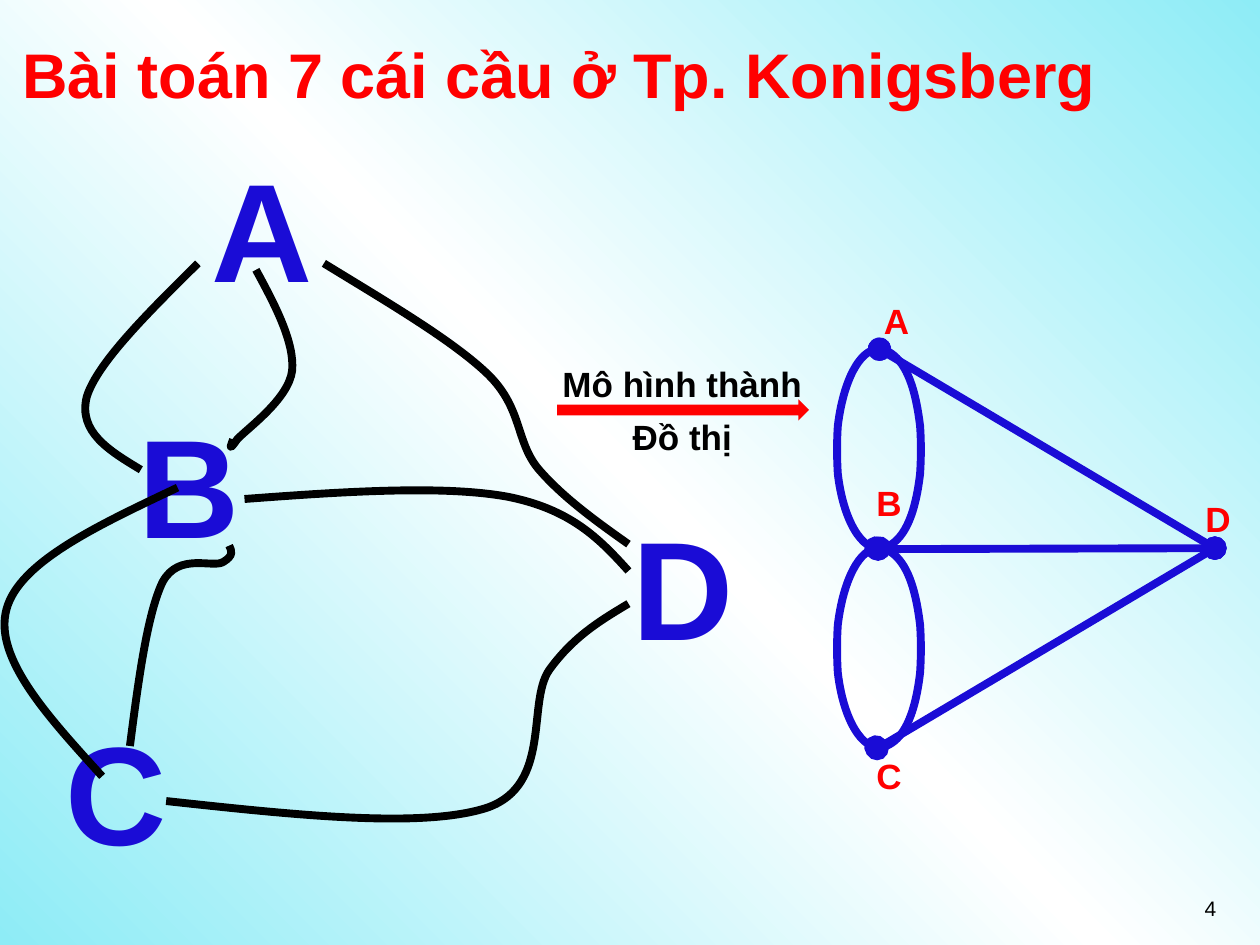
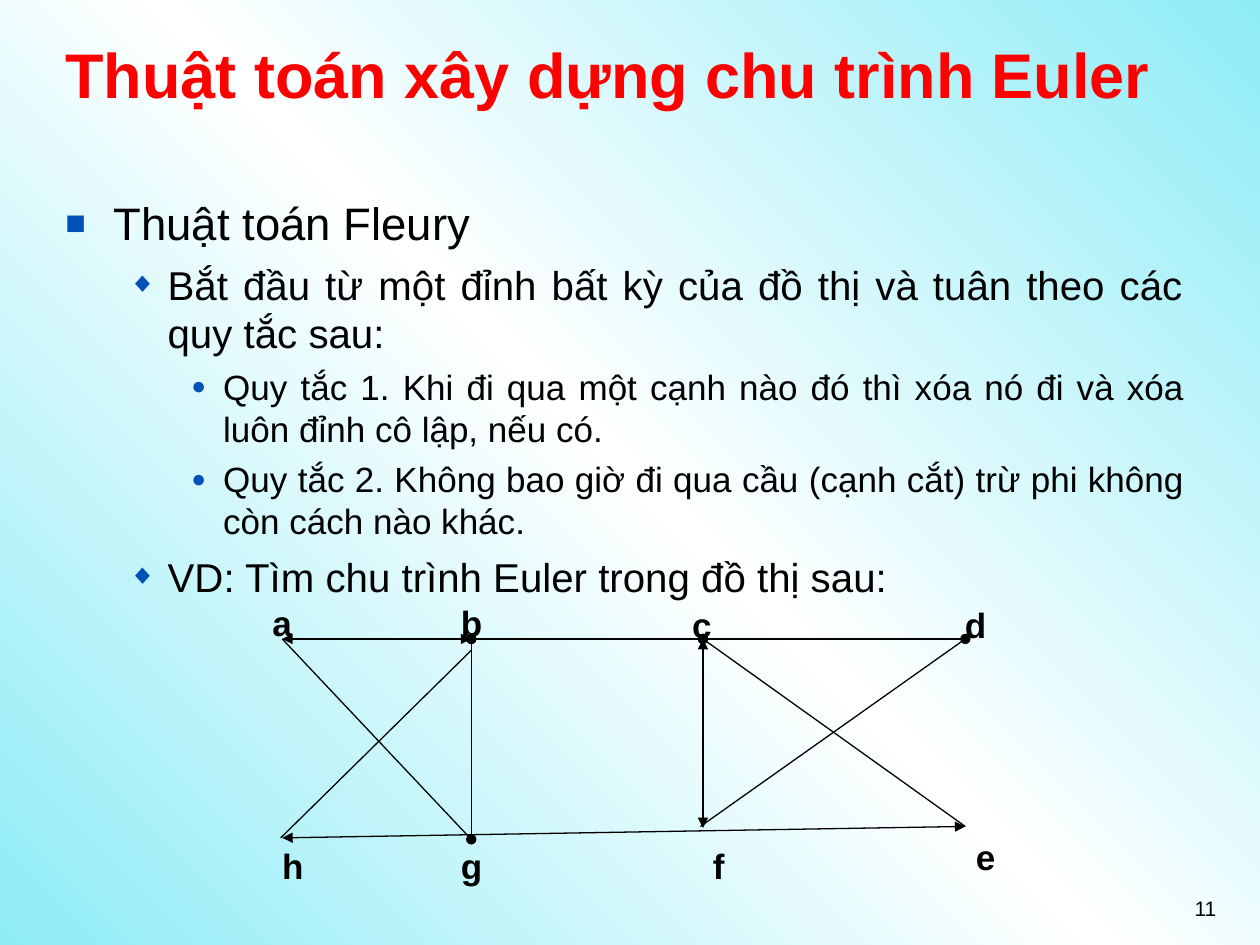
from copy import deepcopy

from lxml.etree import SubElement
from pptx import Presentation
from pptx.dml.color import RGBColor
from pptx.enum.shapes import MSO_CONNECTOR, MSO_SHAPE
from pptx.enum.text import MSO_ANCHOR, MSO_AUTO_SIZE, PP_ALIGN
from pptx.oxml.ns import qn
from pptx.util import Cm, Pt

FONT = "Arial"
AQUA = RGBColor(0x8E, 0xEC, 0xF6)
WHITE = RGBColor(0xFF, 0xFF, 0xFF)
RED = RGBColor(0xFF, 0x00, 0x00)
BLUE = RGBColor(0x1A, 0x0C, 0xD6)
BLACK = RGBColor(0x00, 0x00, 0x00)
BULLET_BLUE = RGBColor(0x02, 0x51, 0xB8)


def add_text(slide, text, box, size, color, bold=True, align=PP_ALIGN.CENTER, label=True):
    holder = slide.shapes.add_textbox(*[Cm(length) for length in box])
    frame = holder.text_frame
    frame.word_wrap = True
    frame.text = text
    for paragraph in frame.paragraphs:
        paragraph.alignment = align
        font = paragraph.runs[0].font
        font.name, font.size, font.bold = FONT, Pt(size), bold
        font.color.rgb = color
        if label:
            paragraph.space_before = Pt(size * 0.625)
    frame.auto_size = MSO_AUTO_SIZE.SHAPE_TO_FIT_TEXT if label else MSO_AUTO_SIZE.NONE
    return frame


def style_stroke(stroke, color, width, ends):
    stroke.line.color.rgb = color
    stroke.line.width = Pt(width)
    properties = stroke.element.spPr
    if ends:
        for tag in ("a:headEnd", "a:tailEnd"):
            SubElement(properties.find(qn("a:ln")), qn(tag), type=ends)
    SubElement(properties, qn("a:effectLst"))


prs = Presentation()
prs.slide_width, prs.slide_height = Cm(25.4), Cm(19.05)

backdrop = prs.slide_master.background.fill
backdrop.gradient()
backdrop.gradient_angle = 45
for stop in backdrop.gradient_stops:
    stop.color.rgb = AQUA
stop_list = next(prs.slide_master.element.iter(qn("a:gsLst")))
stop_list.insert(1, deepcopy(stop_list[0]))
middle = backdrop.gradient_stops[1]
middle.position = 0.5
middle.color.rgb = WHITE

pages = []
for title, left, number in (
    ("Bài toán 7 cái cầu ở Tp. Konigsberg", 0.2, "4"),
    ("Thuật toán xây dựng chu trình Euler", 1.07, "11"),
):
    page = prs.slides.add_slide(prs.slide_layouts[6])
    heading = add_text(page, title, (left, 0.43, 23.06, 2.11), 36, RED,
                       align=PP_ALIGN.LEFT, label=False)
    heading.vertical_anchor = MSO_ANCHOR.MIDDLE
    add_text(page, number, (18.85, 17.93, 5.92, 1.32), 12, BLACK,
             bold=False, align=PP_ALIGN.RIGHT, label=False)
    pages.append(page)
bridges_page, fleury_page = pages

for land, left, top in (("A", 2.74, 2.74), ("B", 1.27, 7.9), ("D", 11.23, 9.96), ("C", -0.2, 14.1)):
    add_text(bridges_page, land, (left, top, 5.08, 3.66), 80, BLUE)

bridges = [
    [(3.99, 5.31), (2.97, 6.32), (1.96, 7.32), (1.75, 8), (1.57, 8.71), (2.21, 9.09), (2.84, 9.47)],
    [(2.62, 15.04), (2.79, 13.72), (2.97, 12.37), (3.28, 11.73), (3.61, 11.13),
     (4.29, 11.46), (4.5, 11.33), (4.72, 11.2), (4.67, 11.1), (4.62, 11)],
    [(5.16, 5.44), (5.56, 6.17), (5.94, 6.91), (5.89, 7.47), (5.82, 8.05),
     (4.98, 8.64), (4.78, 8.86), (4.6, 9.12), (4.65, 8.99), (4.7, 8.86)],
    [(6.53, 5.31), (7.82, 6.1), (9.12, 6.86), (9.83, 7.54), (10.54, 8.23),
     (10.39, 8.89), (10.85, 9.45), (11.33, 10.01), (11.99, 10.49), (12.67, 10.97)],
    [(4.93, 10.06), (6.93, 9.91), (8.92, 9.78), (10.21, 10.01), (11.51, 10.26),
     (12.09, 10.87), (12.67, 11.51)],
    [(3.35, 16.15), (5.94, 16.43), (8.53, 16.71), (9.83, 16.28), (11.13, 15.82),
     (10.62, 14.17), (11.07, 13.51), (11.56, 12.83), (12.12, 12.5), (12.67, 12.17)],
    [(2.06, 15.65), (0.97, 14.45), (-0.13, 13.26), (0.13, 12.29), (0.38, 11.33),
     (1.98, 10.59), (3.58, 9.83)],
]
curves = [(bridge, BLACK, None) for bridge in bridges]

half_loop = [(0.01, 0), (0.39, 0), (0.72, 0.64), (0.83, 1.55), (0.85, 1.85),
             (0.85, 2.18), (0.83, 2.51), (0.72, 3.45), (0.34, 4.09), (-0.06, 4.01)]
for side, ends in ((-1, None), (1, "oval")):
    for loop_top in (7.04, 11.05):
        arc = [(17.72 + side * x, loop_top + y) for x, y in half_loop]
        curves.append((arc, BLUE, ends))

for points, color, ends in curves:
    start, *rest = [(Cm(x), Cm(y)) for x, y in points]
    builder = bridges_page.shapes.build_freeform(*start)
    builder.add_line_segments(rest, close=False)
    curve = builder.convert_to_shape()
    curve.fill.background()
    segments = list(curve.element.iter(qn("a:lnTo")))
    trace = segments[0].getparent()
    for first in range(0, len(segments), 3):
        bezier = SubElement(trace, qn("a:cubicBezTo"))
        for segment in segments[first:first + 3]:
            bezier.append(segment[0])
            trace.remove(segment)
    style_stroke(curve, color, 4.5, ends)

node_a, node_b, node_c, node_d = (17.73, 7.04), (17.7, 11.07), (17.68, 15.09), (24.49, 11.05)
a, b, c, d = (5.69, 12.88), (9.5, 12.88), (14.17, 12.88), (19.46, 12.88)
h, g, f, e = (5.69, 16.89), (9.5, 16.92), (14.17, 16.69), (19.46, 16.66)
bridge_edges = [(node_b, node_d, "oval"), (node_d, node_a, "oval"), (node_c, node_d, "oval")]
fleury_edges = [
    (a, b, "triangle"), (b, c, "oval"), (c, d, "oval"), (b, g, "oval"),
    (c, f, "triangle"), (h, e, "triangle"), (a, g, None),
    ((9.5, 13.11), (5.66, 16.89), None), (d, (14.12, 16.66), None), (c, e, None),
]
for page, edges, color, width in (
    (bridges_page, bridge_edges, BLUE, 4.5),
    (fleury_page, fleury_edges, BLACK, 0.75),
):
    for start, finish, ends in edges:
        edge = page.shapes.add_connector(
            MSO_CONNECTOR.STRAIGHT, *[Cm(length) for length in start + finish])
        style_stroke(edge, color, width, ends)

for node, left, top in (("A", 17.02, 5.92), ("B", 16.87, 9.58), ("C", 16.87, 15.09), ("D", 23.5, 9.91)):
    add_text(bridges_page, node, (left, top, 2.11, 1.12), 20, RED)

becomes = bridges_page.shapes.add_shape(
    MSO_SHAPE.RIGHT_ARROW, Cm(11.23), Cm(8.05), Cm(5.08), Cm(0.43))
becomes.shadow.inherit = False
becomes.fill.solid()
becomes.fill.fore_color.rgb = RED
becomes.line.fill.background()
for words, top in (("Mô hình thành", 7.19), ("Đồ thị", 8.26)):
    add_text(bridges_page, words, (11, top, 5.51, 1.12), 20, BLACK)

levels = [
    (26, 0.97, 0.97, 6.5, "■", 75),
    (23, 2.06, 0.79, 5.8, "◆", 70),
    (20, 3.18, 0.64, 5, "●", 70),
]
outline = [
    (0, "Thuật toán Fleury"),
    (1, "Bắt đầu từ một đỉnh bất kỳ của đồ thị và tuân theo các quy tắc sau:"),
    (2, "Quy tắc 1. Khi đi qua một cạnh nào đó thì xóa nó đi và xóa luôn đỉnh cô lập, nếu có."),
    (2, "Quy tắc 2. Không bao giờ đi qua cầu (cạnh cắt) trừ phi không còn cách nào khác."),
    (1, "VD: Tìm chu trình Euler trong đồ thị sau:"),
]
rules = add_text(fleury_page, "\n".join(text for _, text in outline), (1.07, 3.81, 23.06, 13.21),
                 20, BLACK, bold=False, align=PP_ALIGN.JUSTIFY, label=False)
for paragraph, (level, _) in zip(rules.paragraphs, outline):
    size, margin, hanging, gap, bullet, bullet_size = levels[level]
    paragraph.level = level
    paragraph.space_before = Pt(gap)
    paragraph.runs[0].font.size = Pt(size)
    properties = paragraph._p.get_or_add_pPr()
    properties.set("marL", str(Cm(margin)))
    properties.set("indent", str(-Cm(hanging)))
    SubElement(SubElement(properties, qn("a:buClr")), qn("a:srgbClr"), val=str(BULLET_BLUE))
    SubElement(properties, qn("a:buSzPct"), val=str(bullet_size * 1000))
    SubElement(properties, qn("a:buFont"), typeface=FONT)
    SubElement(properties, qn("a:buChar"), char=bullet)

for vertex, left, top in (
    ("a", 5.23, 12.01), ("b", 9.04, 12.01), ("c", 13.69, 12.04), ("d", 19.2, 12.04),
    ("e", 19.41, 16.71), ("f", 14.12, 16.89), ("g", 9.04, 16.89), ("h", 5.44, 16.89),
):
    tag = add_text(fleury_page, vertex, (left, top, 0.74 if vertex == "f" else 0.92, 1.12), 20, BLACK)
    tag.word_wrap = False

prs.save("out.pptx")
